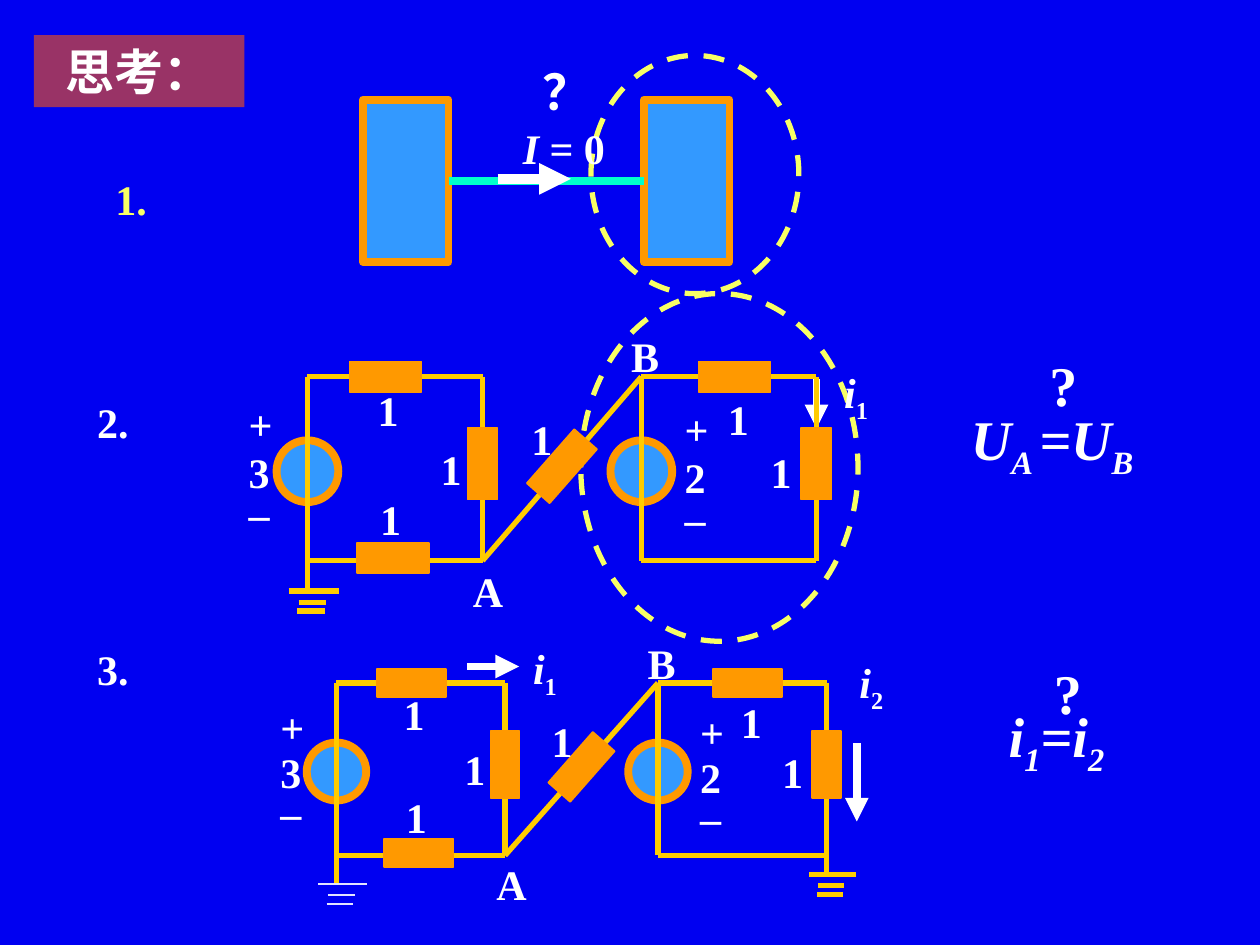
from lxml import etree
from pptx import Presentation
from pptx.dml.color import RGBColor
from pptx.enum import dml, shapes, text
from pptx.oxml.ns import qn
from pptx.util import Inches, Pt

NAVY = RGBColor(0x00, 0x00, 0xF1)
WHITE = RGBColor(0xFF, 0xFF, 0xFF)
PALE = RGBColor(0xE3, 0xE3, 0xFF)
LEMON = RGBColor(0xF8, 0xFF, 0x65)
GOLD = RGBColor(0xFF, 0xCC, 0x00)
ORANGE = RGBColor(0xFF, 0x99, 0x00)
SKY = RGBColor(0x33, 0x99, 0xFF)
AQUA = RGBColor(0x00, 0xFF, 0xCC)
PLUM = RGBColor(0x99, 0x33, 0x66)
FONT = "Times New Roman"
RECT, OVAL = shapes.MSO_SHAPE.RECTANGLE, shapes.MSO_SHAPE.OVAL

# Circuit geometry, in inches of the upper circuit (question 2)
X1, X2, X3, X4, TOP, BOTTOM, GROUND = 2.44, 3.83, 5.09, 6.48, 2.99, 4.45, 4.69
WIRES = [(X1, TOP, X1, GROUND), (X1, TOP, X2, TOP), (X2, TOP, X2, BOTTOM),
         (X1, BOTTOM, X2, BOTTOM), (X3, TOP, X3, BOTTOM), (X3, TOP, X4, TOP),
         (X4, TOP, X4, BOTTOM), (X3, BOTTOM, X4, BOTTOM), (X2, BOTTOM, X3, TOP)]
SOURCES = [(X1, 3.74), (X3, 3.74)]
RESISTORS = [(X4, 3.68, 270), (X2, 3.68, 270), (3.12, 4.43, 0),
             (5.83, 2.99, 0), (3.06, 2.99, 0), (4.46, 3.7, 311.3)]
LABELS = [  # text, centre x, centre y, width
    ("A", 3.86, 4.69, 0.41), ("B", 5.12, 2.82, 0.45),
    ("+", 2.04, 3.36, 0.33), ("3", 2.04, 3.74, 0.33), ("_", 2.04, 3.96, 0.33),
    ("+", 5.5, 3.4, 0.33), ("2", 5.5, 3.78, 0.33), ("_", 5.5, 4.0, 0.33),
    ("1", 3.08, 3.25, 0.51), ("1", 3.58, 3.72, 0.51), ("1", 5.86, 3.32, 0.51),
    ("1", 6.2, 3.74, 0.51), ("1", 3.1, 4.12, 0.51), ("1", 4.3, 3.48, 0.51)]
GROUND_BARS = [(-0.15, 0.25, 0), (-0.08, 0.14, 0.16), (-0.07, 0.15, 0.09)]

# Runs are (text, style): "i" italic, "s" subscript
FORMULAS = [  # runs, left, top, width, height
    ([("i", "i"), ("1", "is"), ("=i", "i"), ("2", "is")], 7.6, 5.56, 1.57, 0.63),
    ([("?", "")], 8.12, 5.17, 0.71, 0.64),
    ([("U", "i"), ("A ", "is"), ("=U", "i"), ("B", "is")], 7.44, 3.2, 1.82, 0.63),
    ([("?", "")], 8.23, 2.73, 0.33, 0.63)]
CURRENTS = [("1", 6.51, 2.89, 0.57), ("2", 6.64, 5.19, 0.55), ("1", 4.05, 5.08, 0.55)]
NUMBERS = [("1.", 0.75, 1.33, 0.58, LEMON), ("2.", 0.67, 3.1, 0.45, WHITE),
           ("3.", 0.67, 5.06, 0.45, WHITE)]

prs = Presentation()
prs.slide_width, prs.slide_height = Inches(10), Inches(7.5)
s = prs.slides.add_slide(prs.slide_layouts[6])
s.background.fill.solid()
s.background.fill.fore_color.rgb = NAVY


def shape(kind, x, y, w, h, fill=None, line=None, width=1, rotation=0):
    sp = s.shapes.add_shape(kind, Inches(x), Inches(y), Inches(w), Inches(h))
    sp.shadow.inherit = False
    sp.rotation = rotation
    if fill is None:
        sp.fill.background()
    else:
        sp.fill.solid()
        sp.fill.fore_color.rgb = fill
    if line is None:
        sp.line.fill.background()
    else:
        sp.line.color.rgb = line
        sp.line.width = Pt(width)
    return sp


def line(x1, y1, x2, y2, color=GOLD, width=3, arrow=False):
    c = s.shapes.add_connector(shapes.MSO_CONNECTOR.STRAIGHT,
                               Inches(x1), Inches(y1), Inches(x2), Inches(y2))
    c.line.color.rgb = color
    c.line.width = Pt(width)
    if arrow:
        etree.SubElement(c.line._get_or_add_ln(), qn("a:tailEnd"), type="triangle")
    etree.SubElement(c._element.spPr, qn("a:effectLst"))
    return c


def write(sp, runs, size, color=WHITE, anchor=text.MSO_ANCHOR.MIDDLE, wrap=True):
    tf = sp.text_frame
    tf.word_wrap = wrap
    tf.auto_size = text.MSO_AUTO_SIZE.SHAPE_TO_FIT_TEXT
    tf.vertical_anchor = anchor
    p = tf.paragraphs[0]
    p.alignment = text.PP_ALIGN.CENTER
    for words, style in runs:
        r = p.add_run()
        r.text = words
        r.font.name, r.font.size, r.font.bold = FONT, Pt(size), True
        r.font.italic = "i" in style
        r.font.color.rgb = color
        if "s" in style:
            r._r.get_or_add_rPr().set("baseline", "-25000")


def label(runs, x, y, w, h=0.5, size=24, **options):
    box = s.shapes.add_textbox(Inches(x), Inches(y), Inches(w), Inches(h))
    write(box, runs, size, **options)


def ground(x, y, scale=1, color=GOLD, width=3):
    for left, right, drop in GROUND_BARS:
        line(x + left * scale, y + drop, x + right * scale, y + drop, color, width)


def dashed_ring(x, y, w, h):
    ring = shape(OVAL, x, y, w, h, line=LEMON, width=3)
    ring.line.dash_style = dml.MSO_LINE.DASH


def circuit(left, top, sx, sy, **ground_style):
    """Draw both loops with their upper left corner at (left, top), scaled by sx and sy."""
    def at(x, y):
        return left + (x - X1) * sx, top + (y - TOP) * sy

    for x, y in SOURCES:
        cx, cy = at(x, y)
        w, h = 0.49 * sx, 0.49 * sy
        shape(OVAL, cx - w / 2, cy - h / 2, w, h, SKY, ORANGE, 4.5)
    for x1, y1, x2, y2 in WIRES:
        line(*at(x1, y1), *at(x2, y2))
    ground(*at(X1, GROUND), sx, **ground_style)
    for x, y, rotation in RESISTORS:
        cx, cy = at(x, y)
        w, h = 0.57 * (sy if rotation else sx), 0.24 * (sx if rotation else sy)
        shape(RECT, cx - w / 2, cy - h / 2, w, h, ORANGE, ORANGE, 1, rotation)
    for words, x, y, w in LABELS:
        cx, cy = at(x, y)
        label([(words, "")], cx - w * sx / 2, cy - 0.25, w * sx)


dashed_ring(4.69, 0.44, 1.65, 1.89)
title = shape(RECT, 0.27, 0.28, 1.67, 0.57, PLUM)
write(title, [("思考：", "")], 28)

# Question 3
circuit(2.67, 5.42, 0.963, 0.938, color=PALE, width=1)
line(6.56, 6.5, 6.56, 6.94)
ground(6.56, 6.94, 0.92)
line(6.8, 5.9, 6.8, 6.52, WHITE, 4.5, arrow=True)
line(3.71, 5.29, 4.12, 5.29, WHITE, 4.5, arrow=True)

# Question 2
dashed_ring(4.61, 2.33, 2.2, 2.76)
line(6.48, 3.01, 6.48, 3.4, WHITE, 4.5, arrow=True)
circuit(X1, TOP, 1, 1)

# Question 1
blocks = [shape(RECT, x, 0.79, 0.68, 1.29, SKY, ORANGE, 4.5) for x in (2.88, 5.11)]
link = line(3.56, 1.42, 5.11, 1.42, AQUA, 4.5)
link.begin_connect(blocks[0], 3)
link.end_connect(blocks[1], 1)
line(3.95, 1.42, 4.53, 1.42, WHITE, 6, arrow=True)
label([("I ", "i"), ("= 0", "")], 3.95, 0.92, 1.05)
label([("？", "")], 4.21, 0.44, 0.55, 0.57, 28, anchor=text.MSO_ANCHOR.TOP)

for runs, x, y, w, h in FORMULAS:
    label(runs, x, y, w, h, 32)
for index, x, y, w in CURRENTS:
    label([("i", "i"), (index, "s")], x, y, w)
for number, x, y, w, color in NUMBERS:
    label([(number, "")], x, y, w, color=color, wrap=False)

prs.save("out.pptx")
